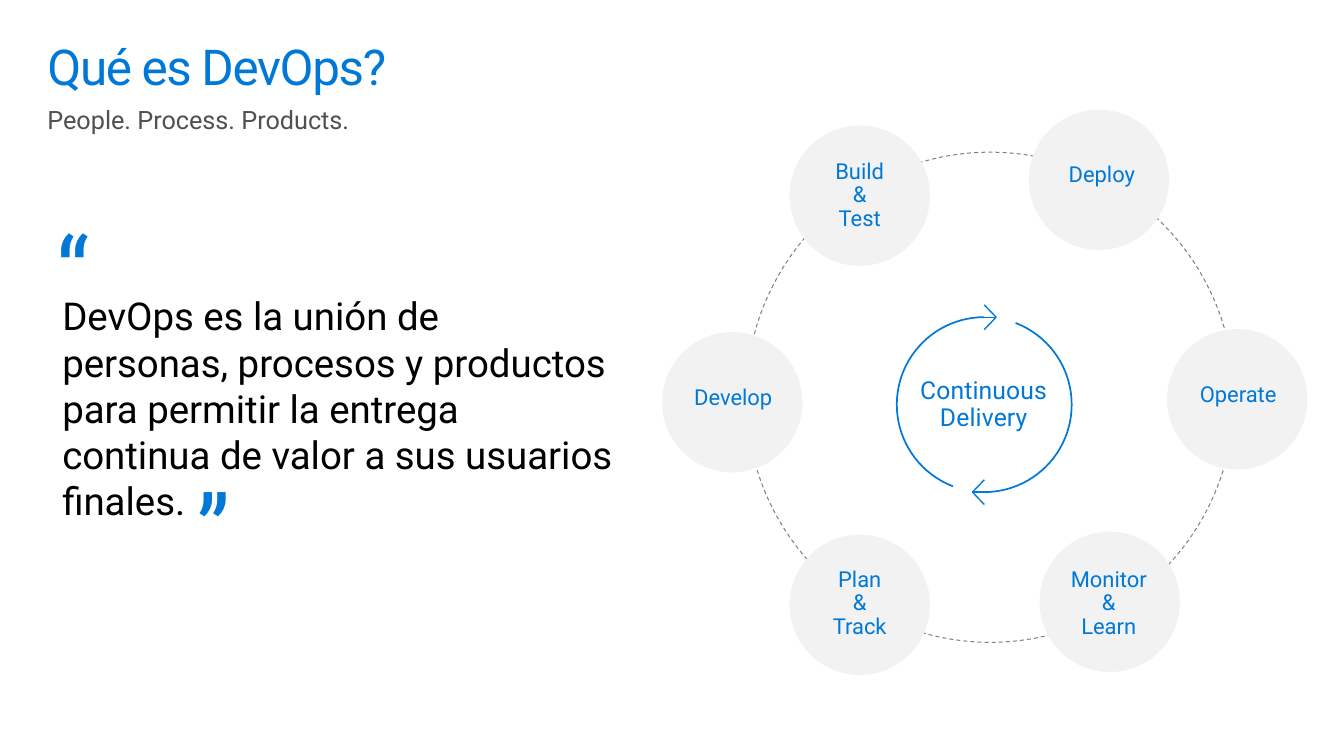
from lxml import etree
from pptx import Presentation
from pptx.dml.color import RGBColor
from pptx.enum.dml import MSO_LINE
from pptx.enum.shapes import MSO_CONNECTOR, MSO_SHAPE
from pptx.enum.text import MSO_ANCHOR, PP_ALIGN
from pptx.oxml.ns import qn
from pptx.util import Inches, Pt

STRAIGHT = MSO_CONNECTOR.STRAIGHT
OVAL, ARC = MSO_SHAPE.OVAL, MSO_SHAPE.ARC
DASH = MSO_LINE.DASH
TOP, MIDDLE = MSO_ANCHOR.TOP, MSO_ANCHOR.MIDDLE
LEFT, CENTER = PP_ALIGN.LEFT, PP_ALIGN.CENTER
COLORS = {
    "blue": "0078D7",
    "gray": "505050",
    "black": "000000",
    "circle": "F2F2F2",
    "ring": "808080",
}


def write(shape, text, size, color="blue", font="Roboto", insets=(0, 0, 0, 0),
          align=LEFT, anchor=TOP, line_spacing=1.0, tracking=0, wrap=True):
    frame = shape.text_frame
    frame.word_wrap = wrap
    frame.vertical_anchor = anchor
    frame.margin_left, frame.margin_top, frame.margin_right, frame.margin_bottom = map(Inches, insets)
    frame.text = text
    paragraph = frame.paragraphs[0]
    paragraph.alignment = align
    paragraph.line_spacing = line_spacing
    for run in paragraph.runs:
        run.font.name = font
        run.font.size = Pt(size)
        run.font.color.rgb = RGBColor.from_string(COLORS[color])
        if tracking:
            run._r.get_or_add_rPr().set("spc", str(round(tracking * 100)))


def style(shape, fill=None, line=None, width=1):
    shape.shadow.inherit = False
    if fill:
        shape.fill.solid()
        shape.fill.fore_color.rgb = RGBColor.from_string(COLORS[fill])
    else:
        shape.fill.background()
    if line:
        shape.line.color.rgb = RGBColor.from_string(COLORS[line])
        shape.line.width = Pt(width)
    else:
        shape.line.fill.background()


presentation = Presentation()
presentation.slide_width = Inches(13.6)
presentation.slide_height = Inches(7.65)
slide = presentation.slides.add_slide(presentation.slide_layouts[5])
shapes = slide.shapes

title = shapes.title
title.left, title.top, title.width, title.height = map(Inches, (0.48, 0.25, 12.65, 0.82))
write(title, "Qué es DevOps?", 36, insets=(0, 0.18, 0, 0), line_spacing=0.9, tracking=-1)

subtitle = shapes.add_textbox(Inches(0.48), Inches(1.05), Inches(12.65), Inches(0.32))
write(subtitle, "People. Process. Products.", 18.4, "gray")

quote = shapes.add_textbox(Inches(0.48), Inches(2.11), Inches(5.92), Inches(4.34))
write(quote, "DevOps es la unión de personas, procesos y productos para permitir "
      "la entrega continua de valor a sus usuarios finales.",
      28, "black", insets=(0.15, 0.85, 0.2, 0.16))

for mark, left, top in (("“", 0.48, 2.11), ("”", 1.9, 4.72)):
    quote_mark = shapes.add_textbox(Inches(left), Inches(top), Inches(0.86), Inches(1.2))
    write(quote_mark, mark, 64, font="Roboto Slab", insets=(0.1, 0.05, 0.1, 0.05),
          tracking=-0.1, wrap=False)

ring = shapes.add_shape(OVAL, Inches(7.55), Inches(1.54), Inches(4.94), Inches(4.96))
style(ring, line="ring", width=0.75)
ring.line.dash_style = DASH

center_x, center_y, radius = 9.96, 4.095, 0.885
center_label = shapes.add_textbox(Inches(9.03), Inches(3.47), Inches(1.85), Inches(1.25))
write(center_label, "Continuous\vDelivery", 18, align=CENTER, anchor=MIDDLE,
      line_spacing=0.9, tracking=0.1)

for start, end, direction in ((111, 270, 1), (291, 90, -1)):
    arc = shapes.add_shape(ARC, Inches(center_x - radius), Inches(center_y - radius),
                           Inches(2 * radius), Inches(2 * radius))
    arc.adjustments[0] = start * 0.6
    arc.adjustments[1] = end * 0.6
    style(arc, line="blue", width=1.25)

    arrow_y = center_y - direction * radius
    tip_x = center_x + direction * 0.12
    builder = shapes.build_freeform(Inches(center_x), Inches(arrow_y + 0.125))
    builder.add_line_segments([(Inches(tip_x), Inches(arrow_y)),
                               (Inches(center_x), Inches(arrow_y - 0.125))], close=False)
    style(builder.convert_to_shape(), line="blue")

    shaft = shapes.add_connector(STRAIGHT, Inches(center_x), Inches(arrow_y),
                                 Inches(tip_x), Inches(arrow_y))
    shaft.line.color.rgb = RGBColor.from_string(COLORS["blue"])
    shaft.line.width = Pt(1)
    etree.SubElement(shaft._element.spPr, qn("a:effectLst"))

diameter = 1.42
stages = [
    ("Build\v&\vTest", 7.99, 1.27, 8.05, 1.46, 1.05),
    ("Deploy", 10.41, 1.11, 10.5, 1.53, 0.57),
    ("Operate", 11.81, 3.33, 11.88, 3.76, 0.57),
    ("Monitor\v&\vLearn", 10.52, 5.38, 10.57, 5.59, 1.05),
    ("Plan\v&\vTrack", 7.99, 5.41, 8.05, 5.59, 1.05),
    ("Develop", 6.7, 3.36, 6.77, 3.79, 0.57),
]
for name, left, top, label_left, label_top, label_height in stages:
    circle = shapes.add_shape(OVAL, Inches(left), Inches(top), Inches(diameter), Inches(diameter))
    style(circle, fill="circle")
    label = shapes.add_textbox(Inches(label_left), Inches(label_top), Inches(1.3), Inches(label_height))
    write(label, name, 16, insets=(0.2, 0.16, 0.2, 0.16), align=CENTER, line_spacing=0.9)

presentation.save("out.pptx")
